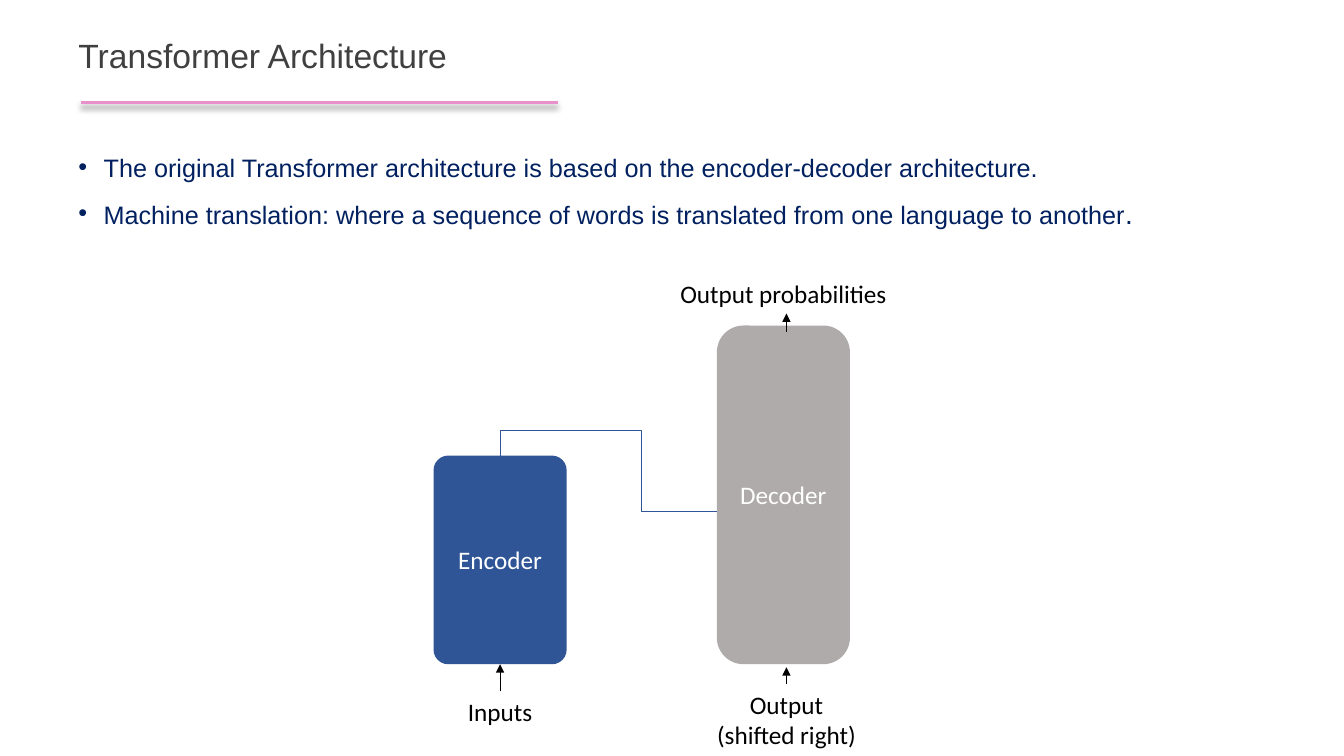
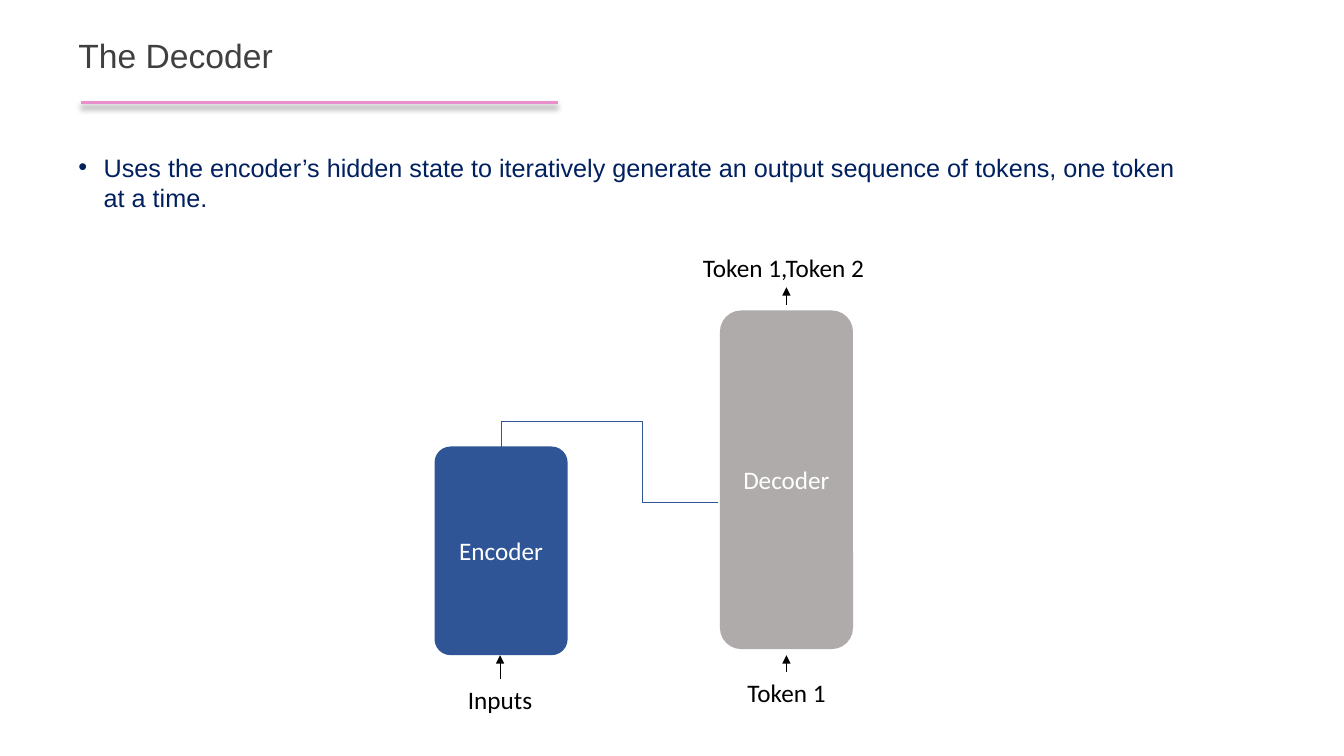
from dataclasses import dataclass

from lxml import etree
from pptx import Presentation
from pptx.dml.color import RGBColor
from pptx.enum.shapes import MSO_CONNECTOR as Link, MSO_SHAPE as Preset
from pptx.enum.text import MSO_ANCHOR as Anchor, MSO_AUTO_SIZE as AutoSize, PP_ALIGN as Align
from pptx.oxml import parse_xml
from pptx.oxml.ns import nsdecls, qn
from pptx.util import Inches, Pt


@dataclass(frozen=True)
class Theme:
    title: str = "404040"
    body: str = "002060"
    rule: str = "E890CB"
    encoder: str = "2F5597"
    decoder: str = "AFABAB"
    light: str = "FFFFFF"
    dark: str = "000000"
    text_font: str = "Arial"
    diagram_font: str = "Calibri"
    title_size: int = 24
    body_size: int = 18
    large_size: int = 20
    thin: float = 0.5
    thick: float = 2.25


THEME = Theme()
ENCODER_X, DECODER_X = 4.96, 7.8
BLOCK_WIDTH, ENCODER_HEIGHT, DECODER_HEIGHT = 1.32, 2.07, 3.36
LABEL_WIDTH, LABEL_HEIGHT = 2.52, 0.4
LINK_WIDTH, LINK_DROP = 2.15, 0.55

SLIDES = [
    {
        "title": "Transformer Architecture",
        "bullets": [
            [("The original Transformer architecture is based on the encoder-decoder architecture.", THEME.body_size)],
            [("Machine translation: where a sequence of words is translated from one language to another", THEME.body_size),
             (".", THEME.large_size)],
        ],
        "encoder": (4.3, 4.52, 0.11),
        "decoder": (7.11, 3.23, 0.2),
        "labels": [
            (["Inputs"], ENCODER_X, 6.86),
            (["Output", "(shifted right)"], DECODER_X, 6.79),
            (["Output probabilities"], 7.77, 2.71),
        ],
        "arrows": [(ENCODER_X, 6.86, 6.59), (DECODER_X, 6.79, 6.62), (DECODER_X, 3.29, 3.11)],
    },
    {
        "title": "The Decoder",
        "bullets": [
            [("Uses the encoder’s hidden state to iteratively generate an output sequence of tokens, one token at a time.",
              THEME.body_size)],
        ],
        "encoder": (4.31, 4.43, 0.12),
        "decoder": (7.14, 3.08, 0.16),
        "labels": [
            (["Inputs"], ENCODER_X, 6.74),
            (["Token 1"], DECODER_X, 6.67),
            (["Token 1,Token 2"], 7.77, 2.45),
        ],
        "arrows": [(ENCODER_X, 6.74, 6.5), (DECODER_X, 6.67, 6.5), (DECODER_X, 3.03, 2.85)],
    },
]


def write(frame, paragraphs, *, color, font=THEME.diagram_font, align=Align.CENTER,
          anchor=Anchor.TOP, bullet=False, gap=0, line_spacing=None):
    frame.word_wrap = True
    frame.vertical_anchor = anchor
    for index, spans in enumerate(paragraphs):
        para = frame.paragraphs[0] if index == 0 else frame.add_paragraph()
        para.alignment = align
        if line_spacing:
            para.line_spacing = line_spacing
        if index and gap:
            para.space_before = Pt(gap)
        if bullet:
            properties = para._p.get_or_add_pPr()
            properties.set("marL", str(Inches(0.25)))
            properties.set("indent", str(-Inches(0.25)))
            etree.SubElement(properties, qn("a:buFont")).set("typeface", THEME.text_font)
            etree.SubElement(properties, qn("a:buChar")).set("char", "•")
        for text, size in spans:
            span = para.add_run()
            span.text = text
            span.font.name = font
            span.font.size = Pt(size)
            span.font.color.rgb = RGBColor.from_string(color)


def add_text(page, left, top, width, height, paragraphs, **style):
    box = page.shapes.add_textbox(Inches(left), Inches(top), Inches(width), Inches(height))
    write(box.text_frame, paragraphs, **style)
    return box


def add_line(page, start, end, *, color, width=THEME.thin, kind=Link.STRAIGHT, arrow=False):
    line = page.shapes.add_connector(kind, *(Inches(value) for value in (*start, *end)))
    line.line.color.rgb = RGBColor.from_string(color)
    line.line.width = Pt(width)
    if arrow:
        etree.SubElement(line.line._get_or_add_ln(), qn("a:tailEnd")).set("type", "triangle")
    etree.SubElement(line._element.spPr, qn("a:effectLst"))
    return line


def add_header(page, title):
    rule = add_line(page, (0.8, 1.02), (5.53, 1.02), color=THEME.rule, width=THEME.thick)
    rule._element.spPr.find(qn("a:effectLst")).append(parse_xml(
        f'<a:outerShdw {nsdecls("a")} blurRad="{Pt(4)}" dist="{Pt(3)}" dir="5400000" rotWithShape="0">'
        f'<a:srgbClr val="{THEME.dark}"><a:alpha val="40000"/></a:srgbClr></a:outerShdw>'))
    add_text(page, 0.68, -0.15, 11.5, 1.45, [[(title, THEME.title_size)]], color=THEME.title,
             font=THEME.text_font, align=Align.LEFT, anchor=Anchor.MIDDLE, line_spacing=0.9)


def add_block(page, name, left, top, corner, height, color):
    block = page.shapes.add_shape(Preset.ROUNDED_RECTANGLE, Inches(left), Inches(top),
                                  Inches(BLOCK_WIDTH), Inches(height))
    block.adjustments[0] = corner
    block.shadow.inherit = False
    block.fill.solid()
    block.fill.fore_color.rgb = RGBColor.from_string(color)
    block.line.fill.background()
    write(block.text_frame, [[(name, THEME.body_size)]], color=THEME.light, anchor=Anchor.MIDDLE)
    return block


def add_block_link(page, encoder, left, top):
    x = left + BLOCK_WIDTH / 2
    link = add_line(page, (x, top), (x + LINK_WIDTH, top + LINK_DROP),
                    color=THEME.encoder, kind=Link.ELBOW)
    link.begin_connect(encoder, 0)
    link.left = Inches(x + (LINK_WIDTH - LINK_DROP) / 2)
    link.top = Inches(top - (LINK_WIDTH - LINK_DROP) / 2)
    link.width, link.height = Inches(LINK_DROP), Inches(LINK_WIDTH)
    frame = link._element.spPr.find(qn("a:xfrm"))
    frame.set("rot", "16200000")
    frame.set("flipH", "1")
    geometry = link._element.spPr.find(qn("a:prstGeom"))
    geometry.set("prst", "bentConnector4")
    guides = geometry.find(qn("a:avLst"))
    for name, value in (("adj1", -45400), ("adj2", 65300)):
        guide = etree.SubElement(guides, qn("a:gd"))
        guide.set("name", name)
        guide.set("fmla", f"val {value}")


def add_diagram(page, content):
    encoder = add_block(page, "Encoder", *content["encoder"], ENCODER_HEIGHT, THEME.encoder)
    add_block(page, "Decoder", *content["decoder"], DECODER_HEIGHT, THEME.decoder)
    add_block_link(page, encoder, *content["encoder"][:2])
    for lines, center, top in content["labels"]:
        label = add_text(page, center - LABEL_WIDTH / 2, top, LABEL_WIDTH,
                         LABEL_HEIGHT + 0.31 * (len(lines) - 1),
                         [[(line, THEME.body_size)] for line in lines], color=THEME.dark)
        label.text_frame.auto_size = AutoSize.SHAPE_TO_FIT_TEXT
    for x, bottom, top in content["arrows"]:
        add_line(page, (x, bottom), (x, top), color=THEME.dark, arrow=True)


def main():
    deck = Presentation()
    deck.slide_width, deck.slide_height = Inches(13.33), Inches(7.5)
    for content in SLIDES:
        page = deck.slides.add_slide(deck.slide_layouts[6])
        add_header(page, content["title"])
        add_text(page, 0.68, 1.46, 11.19, 5.86, content["bullets"], color=THEME.body,
                 font=THEME.text_font, align=Align.LEFT, bullet=True, gap=10)
        add_diagram(page, content)
    deck.save("out.pptx")


if __name__ == "__main__":
    main()
